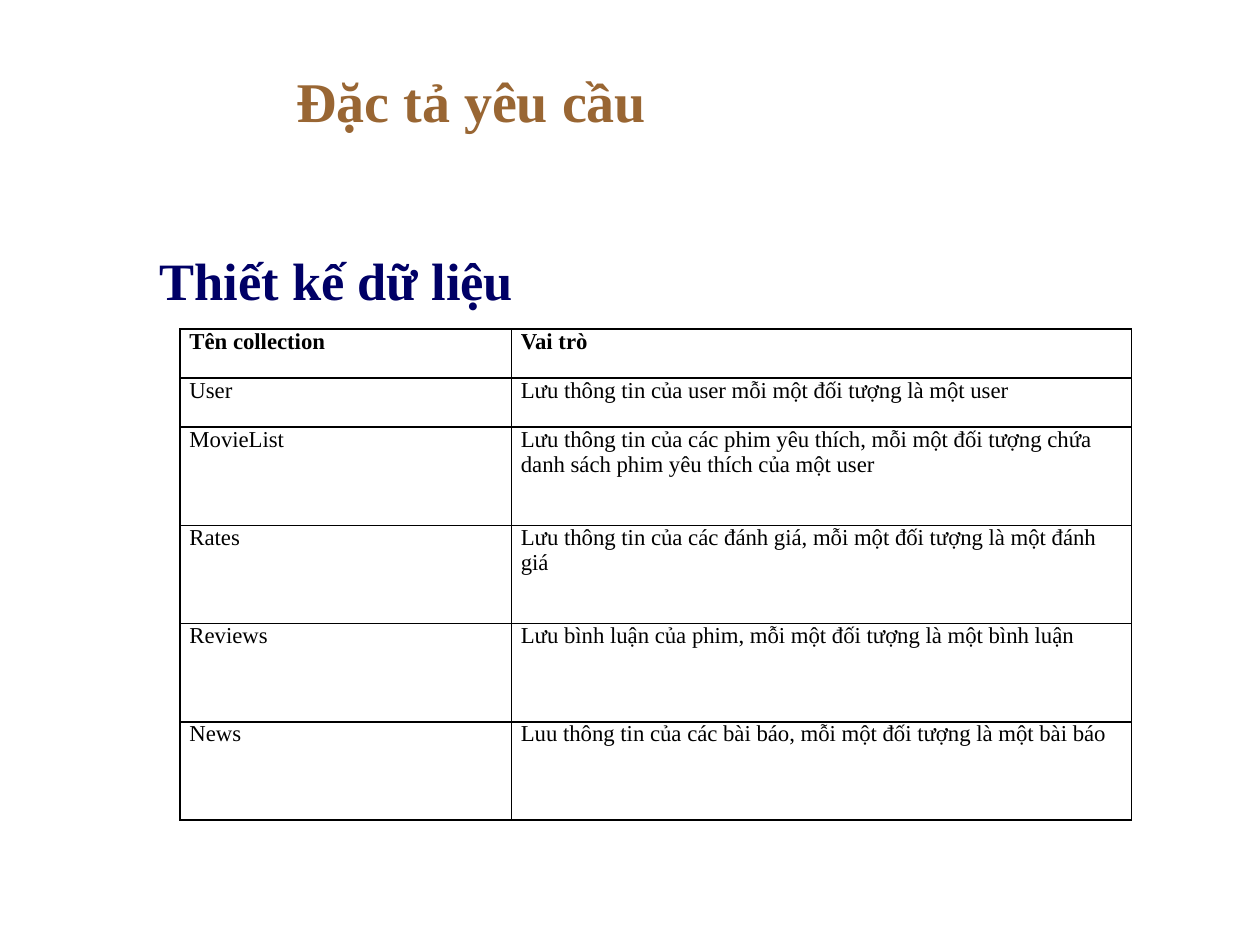
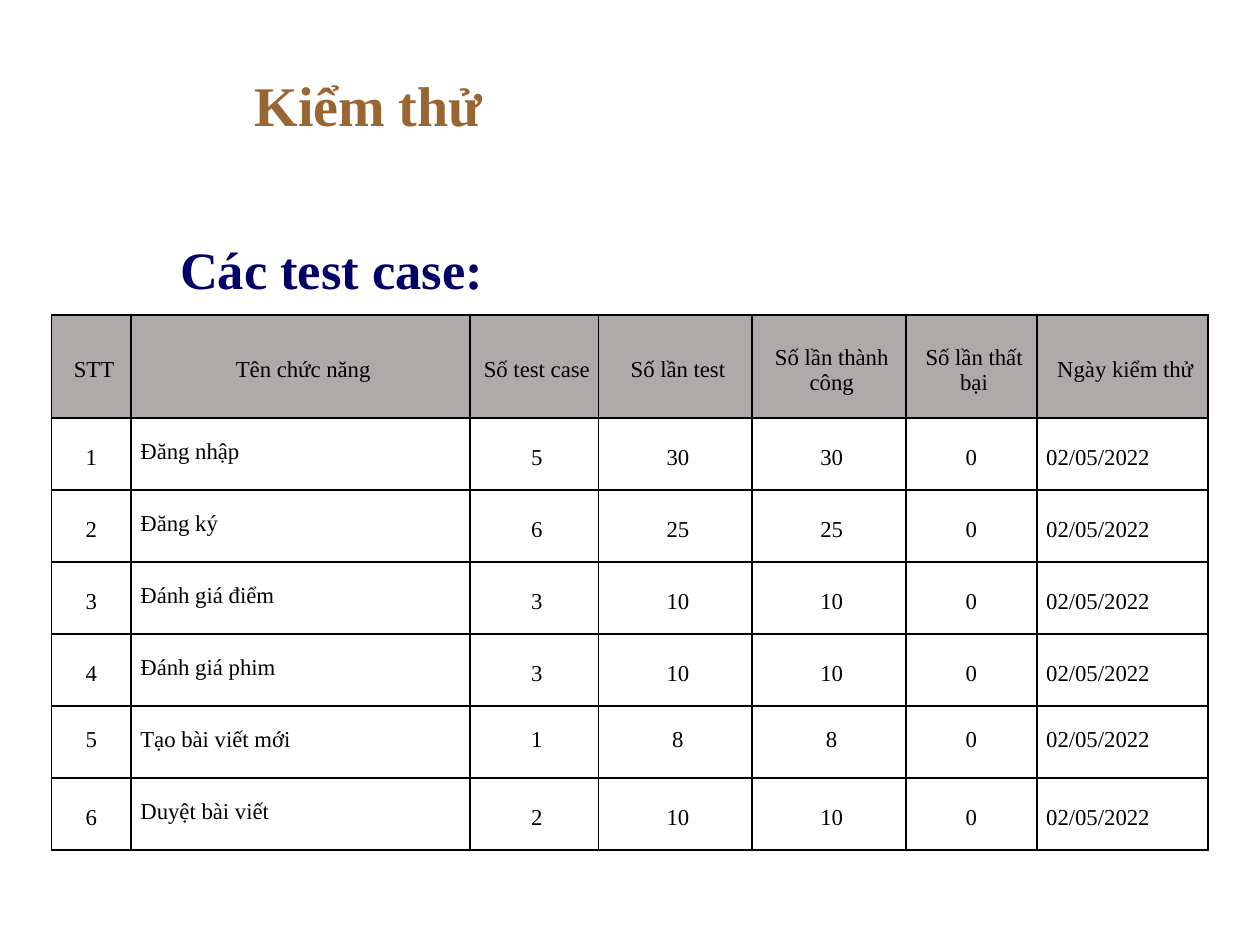
from lxml.etree import SubElement
from pptx import Presentation
from pptx.dml.color import RGBColor
from pptx.enum.text import MSO_ANCHOR as Anchor, PP_ALIGN as Align
from pptx.oxml.ns import qn
from pptx.util import Cm, Pt

COLORS = {"title": "996633", "heading": "000066", "text": "000000", "header": "AEAAAA"}
FONT = "Times New Roman"

COLLECTIONS = [
    ("Tên collection", "Vai trò"),
    ("User", "Lưu thông tin của user mỗi một đối tượng là một user"),
    ("MovieList", "Lưu thông tin của các phim yêu thích, mỗi một đối tượng chứa "
                  "danh sách phim yêu thích của một user"),
    ("Rates", "Lưu thông tin của các đánh giá, mỗi một đối tượng là một đánh giá"),
    ("Reviews", "Lưu bình luận của phim, mỗi một đối tượng là một bình luận"),
    ("News", "Luu thông tin của các bài báo, mỗi một đối tượng là một bài báo"),
]
TEST_HEADER = ("STT", "Tên chức năng", "Số test case", "Số lần test",
               "Số lần thành công", "Số lần thất bại", "Ngày kiểm thử")
TEST_RUNS = [
    ("Đăng nhập", 5, 30),
    ("Đăng ký", 6, 25),
    ("Đánh giá điểm", 3, 10),
    ("Đánh giá phim", 3, 10),
    ("Tạo bài viết mới", 1, 8),
    ("Duyệt bài viết", 2, 10),
]
TEST_DATE = "02/05/2022"
NAME_COLUMN, DATE_COLUMN = 1, 6
TOP_ALIGNED_ROW = 5


class Deck:
    def __init__(self):
        self.presentation = Presentation()
        self.presentation.slide_width = Cm(25.4)
        self.presentation.slide_height = Cm(19.05)
        self.slide = None

    def new_slide(self):
        self.slide = self.presentation.slides.add_slide(self.presentation.slide_layouts[6])

    def style(self, paragraph, size, color, bold):
        for run in paragraph.runs:
            run.font.name = FONT
            run.font.size = Pt(size)
            run.font.bold = bold
            run.font.color.rgb = RGBColor.from_string(COLORS[color])

    def line_of_text(self, text, box, size, color):
        frame = self.slide.shapes.add_textbox(*map(Cm, box)).text_frame
        frame.word_wrap = True
        frame.text = text
        self.style(frame.paragraphs[0], size, color, True)
        return frame

    def title(self, text, box):
        self.line_of_text(text, box, 32, "title").vertical_anchor = Anchor.MIDDLE

    def heading(self, text, left, top):
        frame = self.line_of_text(text, (left, top, 20.65, 1.4), 30, "heading")
        frame.paragraphs[0].space_before = Pt(3.6)

    def border(self, cell):
        properties = cell._tc.get_or_add_tcPr()
        for side in ("lnL", "lnR", "lnT", "lnB"):
            line = SubElement(properties, qn(f"a:{side}"), w=str(Pt(1)))
            fill = SubElement(line, qn("a:solidFill"))
            SubElement(fill, qn("a:srgbClr"), val=COLORS["text"])

    def table(self, rows, left, top, widths, heights, margins, bold_header=False, header_fill=None):
        frame = self.slide.shapes.add_table(
            len(rows), len(widths), Cm(left), Cm(top), Cm(sum(widths)), Cm(sum(heights)))
        table = frame.table
        table.first_row = table.horz_banding = False
        for column, width in zip(table.columns, widths):
            column.width = Cm(width)
        for row, height in zip(table.rows, heights):
            row.height = Cm(height)
        for r, values in enumerate(rows):
            for c, value in enumerate(values):
                cell = table.cell(r, c)
                self.border(cell)
                if r == 0 and header_fill:
                    cell.fill.solid()
                    cell.fill.fore_color.rgb = RGBColor.from_string(COLORS[header_fill])
                else:
                    cell.fill.background()
                (cell.margin_left, cell.margin_top,
                 cell.margin_right, cell.margin_bottom) = map(Cm, margins)
                cell.text_frame.text = str(value)
                self.style(cell.text_frame.paragraphs[0], 13, "text", bold_header and r == 0)
        return table


def add_data_design(deck):
    deck.new_slide()
    deck.title("Đặc tả yêu cầu", (5.72, 1.07, 7.82, 1.9))
    deck.heading("Thiết kế dữ liệu", 2.97, 4.88)
    deck.table(COLLECTIONS, 3.63, 6.63, [6.68, 12.5], [0.99] * 2 + [1.98] * 4,
               (0.19, 0, 0.19, 0), bold_header=True)


def add_testing(deck):
    deck.new_slide()
    deck.title("Kiểm thử", (4.88, 0.79, 19.69, 2.62))
    results = [(f"{number} ", name, cases, runs, runs, "0 ", TEST_DATE)
               for number, (name, cases, runs) in enumerate(TEST_RUNS, 1)]
    table = deck.table([TEST_HEADER] + results, 1.04, 6.35,
                       [1.6, 6.83, 2.59, 3.1, 3.1, 2.64, 3.45], [2.08] + [1.45] * 6,
                       (0.19, 0.43, 0.08, 0.28), header_fill="header")
    for r in range(len(table.rows)):
        for c in range(len(table.columns)):
            cell = table.cell(r, c)
            if r == 0 or c not in (NAME_COLUMN, DATE_COLUMN):
                cell.text_frame.paragraphs[0].alignment = Align.CENTER
            if r == 0 or (c != NAME_COLUMN and r != TOP_ALIGNED_ROW):
                cell.vertical_anchor = Anchor.MIDDLE
    deck.heading("Các test case:", 3.38, 4.65)


def main():
    deck = Deck()
    add_data_design(deck)
    add_testing(deck)
    deck.presentation.save("out.pptx")


if __name__ == "__main__":
    main()
